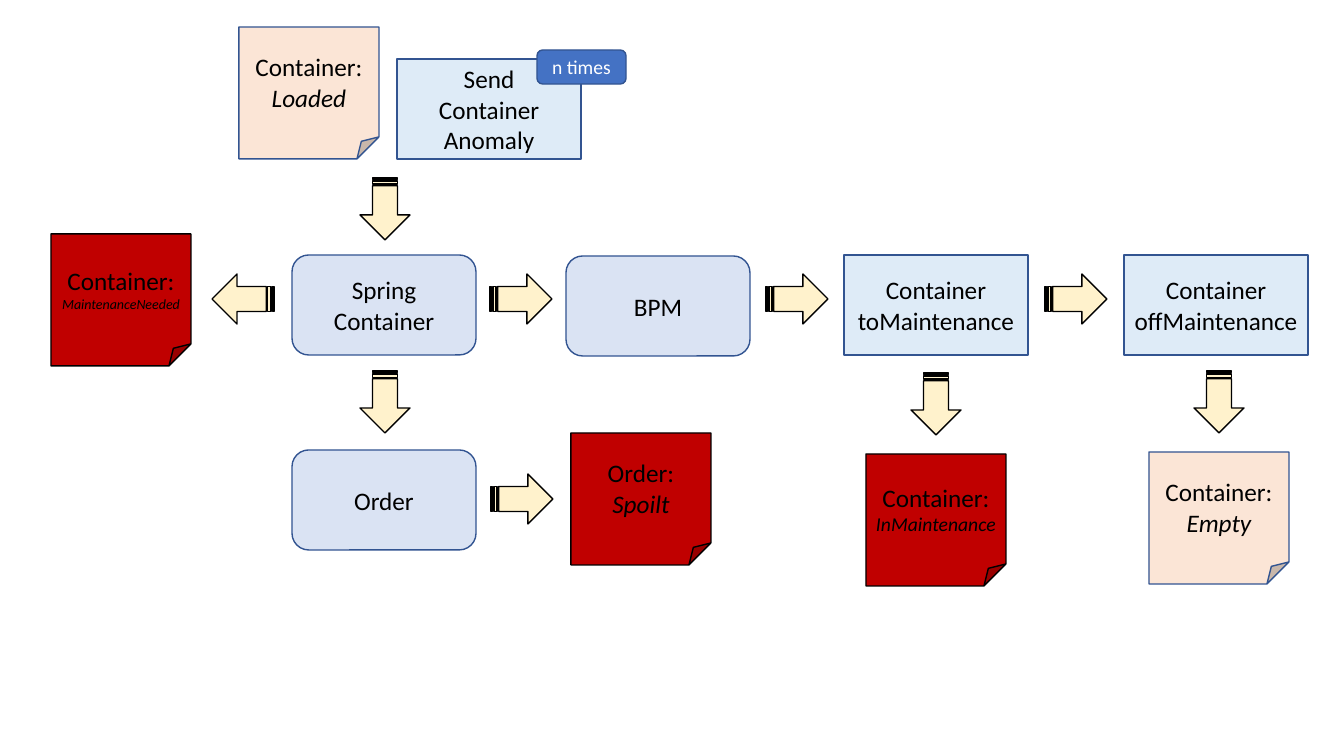
import pptx
import pptx.util
import pptx.dml.color
import pptx.enum.shapes
import pptx.enum.text

PIXEL = 914400 / 100.8
COLOURS = {
    "command": "DEEBF7", "policy": "DAE3F3", "event": "FBE5D6", "alert": "C00000",
    "arrow": "FFF2CC", "badge": "4472C4", "outline": "325491",
    "black": "000000", "white": "FFFFFF",
}
SHAPES = pptx.enum.shapes.MSO_SHAPE

deck = pptx.Presentation()
deck.slide_width = round(1344 * PIXEL)
deck.slide_height = round(756 * PIXEL)
page = deck.slides.add_slide(deck.slide_layouts[6])


def add_box(kind, bounds, fill, line):
    """Add a filled, outlined shape; bounds are left, top, width, height in pixels."""
    box = page.shapes.add_shape(kind, *[round(length * PIXEL) for length in bounds])
    box.shadow.inherit = False
    box.fill.solid()
    box.fill.fore_color.rgb = pptx.dml.color.RGBColor.from_string(COLOURS[fill])
    box.line.color.rgb = pptx.dml.color.RGBColor.from_string(COLOURS[line])
    box.line.width = pptx.util.Pt(1)
    return box


def write(box, text, sizes, colour="black"):
    """Write centred text, one size per paragraph; the second one is italic."""
    frame = box.text_frame
    frame.text = text
    frame.word_wrap = True
    frame.margin_left = frame.margin_right = 0
    frame.vertical_anchor = pptx.enum.text.MSO_ANCHOR.MIDDLE
    for index, (para, size) in enumerate(zip(frame.paragraphs, sizes)):
        para.alignment = pptx.enum.text.PP_ALIGN.CENTER
        for span in para.runs:
            span.font.name = "Calibri"
            span.font.size = pptx.util.Pt(size)
            span.font.italic = index == 1
            span.font.color.rgb = pptx.dml.color.RGBColor.from_string(COLOURS[colour])


# Commands are square boxes, policies and systems rounded ones
steps = [
    ("Send\vContainer\vAnomaly", "command", 397, 59),
    ("Spring\vContainer", "policy", 292, 255),
    ("BPM", "policy", 566, 256),
    ("Container\vtoMaintenance", "command", 844, 255),
    ("Container\voffMaintenance", "command", 1124, 255),
    ("Order", "policy", 292, 450),
]
for text, role, left, top in steps:
    kind = SHAPES.RECTANGLE if role == "command" else SHAPES.ROUNDED_RECTANGLE
    write(add_box(kind, (left, top, 184, 100), role, "outline"), text, [18])

# Events are notes with a folded corner
events = [
    ("Container:", "Loaded", 18, "event", 239, 27),
    ("Container:", "MaintenanceNeeded", 10, "alert", 51, 234),
    ("Order:", "Spoilt", 18, "alert", 571, 433),
    ("Container:", "InMaintenance", 14, "alert", 866, 454),
    ("Container:", "Empty", 18, "event", 1149, 452),
]
for subject, state, state_size, role, left, top in events:
    line = "outline" if role == "event" else "black"
    note = add_box(SHAPES.FOLDED_CORNER, (left, top, 140, 132), role, line)
    write(note, f"{subject}\n{state}", [18, state_size])

# Arrows are placed by centre and turned clockwise
arrows = [
    (385, 209, 90), (385, 402, 90), (936, 404, 90), (1219, 402, 90),
    (243, 299, 180), (521, 299, 0), (797, 299, 0), (1076, 299, 0), (522, 499, 0),
]
for centre_x, centre_y, turn in arrows:
    bounds = (centre_x - 31, centre_y - 25, 62, 50)
    add_box(SHAPES.STRIPED_RIGHT_ARROW, bounds, "arrow", "black").rotation = turn

badge = add_box(SHAPES.ROUNDED_RECTANGLE, (537, 50, 89, 34), "badge", "outline")
write(badge, "n times", [14], "white")

deck.save("out.pptx")
